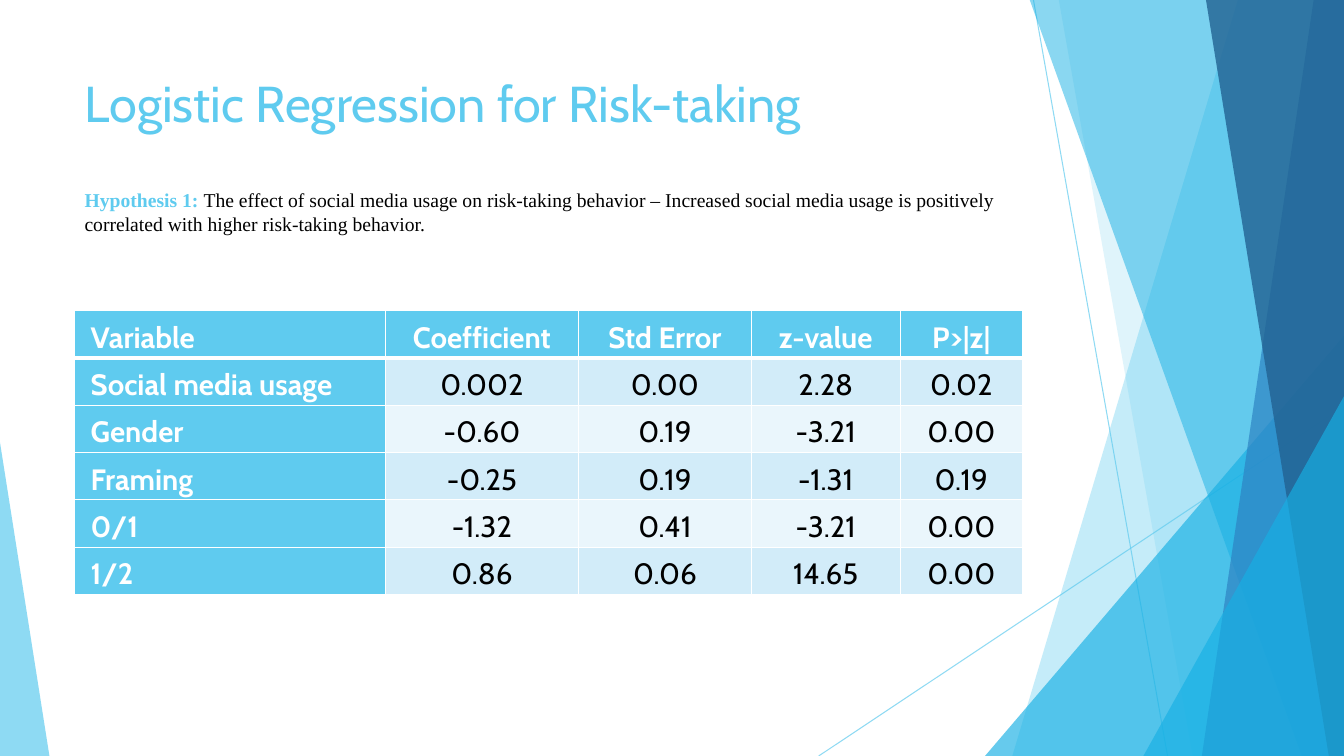
from lxml import etree
from pptx import Presentation, util as u
from pptx.dml.color import RGBColor
from pptx.enum import shapes, text
from pptx.oxml.ns import qn

PX = 9144
SKY, CYAN, BLUE, NAVY = "5FCBEF", "17B0E4", "2E83C3", "226292"
WHITE, BLACK = "FFFFFF", "000000"
BANDS = ("EAF6FC", "D2ECF9")


def px(n):
    return u.Emu(n * PX)


def rgb(color):
    return RGBColor.from_string(color)


def write(p, content, font="Cabin", size=21, color=BLACK, bold=False, align=text.PP_ALIGN.LEFT):
    p.alignment = align
    r = p.add_run()
    r.text = content
    r.font.name = font
    r.font.size = u.Pt(size)
    r.font.bold = bold
    r.font.color.rgb = rgb(color)


def set_alpha(parent, percent):
    for clr in parent.iter(qn("a:srgbClr")):
        etree.SubElement(clr, qn("a:alpha"), val=str(percent * 1000))


def set_border(cell, side, width):
    ln = etree.SubElement(cell._tc.get_or_add_tcPr(), qn("a:" + side), w=str(u.Pt(width)))
    fill = etree.SubElement(ln, qn("a:solidFill"))
    etree.SubElement(fill, qn("a:srgbClr"), val=WHITE)


class Deck:
    def __init__(self, width, height):
        self.prs = Presentation()
        self.prs.slide_width, self.prs.slide_height = px(width), px(height)
        self.s = self.prs.slides.add_slide(self.prs.slide_layouts[5])

    def line(self, x1, y1, x2, y2):
        c = self.s.shapes.add_connector(shapes.MSO_CONNECTOR.STRAIGHT, px(x1), px(y1), px(x2), px(y2))
        c.line.color.rgb = rgb(SKY)
        c.line.width = u.Pt(0.75)
        sp_pr = c._element.spPr
        set_alpha(sp_pr, 70)
        etree.SubElement(sp_pr, qn("a:effectLst"))

    def paint(self, sp, color, alpha):
        sp.shadow.inherit = False
        sp.fill.solid()
        sp.fill.fore_color.rgb = rgb(color)
        sp.line.fill.background()
        set_alpha(sp._element.spPr, alpha)

    def facet(self, points, color, alpha):
        fb = self.s.shapes.build_freeform(*points[0], scale=PX)
        fb.add_line_segments(points[1:], close=True)
        self.paint(fb.convert_to_shape(), color, alpha)

    def triangle(self, x, y, w, h, apex, color, alpha):
        sp = self.s.shapes.add_shape(shapes.MSO_SHAPE.ISOSCELES_TRIANGLE, px(x), px(y), px(w), px(h))
        sp.adjustments[0] = apex
        self.paint(sp, color, alpha)

    def title(self, x, y, w, h, content):
        sp = self.s.shapes.title
        sp.left, sp.top, sp.width, sp.height = px(x), px(y), px(w), px(h)
        tf = sp.text_frame
        tf.word_wrap = True
        tf.auto_size = text.MSO_AUTO_SIZE.NONE
        tf.vertical_anchor = text.MSO_ANCHOR.TOP
        write(tf.paragraphs[0], content, size=36, color=SKY)

    def text_box(self, x, y, w, h, runs):
        tf = self.s.shapes.add_textbox(px(x), px(y), px(w), px(h)).text_frame
        tf.word_wrap = True
        tf.auto_size = text.MSO_AUTO_SIZE.SHAPE_TO_FIT_TEXT
        for content, style in runs:
            write(tf.paragraphs[0], content, **style)

    def table(self, x, y, widths, row_height, rows):
        frame = self.s.shapes.add_table(len(rows), len(widths), px(x), px(y),
                                        px(sum(widths)), px(row_height * len(rows)))
        tbl = frame.table
        for col, width in zip(tbl.columns, widths):
            col.width = px(width)
        for i, row in enumerate(rows):
            tbl.rows[i].height = px(row_height)
            for j, content in enumerate(row):
                self.cell(tbl.cell(i, j), i, j, content)

    def cell(self, cell, i, j, content):
        head = i == 0 or j == 0
        cell.margin_left = cell.margin_right = px(16)
        cell.margin_top = cell.margin_bottom = 0
        cell.vertical_anchor = text.MSO_ANCHOR.MIDDLE
        for side in ("lnL", "lnR", "lnT", "lnB"):
            set_border(cell, side, 3 if (i, side) in ((0, "lnB"), (1, "lnT")) else 1)
        cell.fill.solid()
        cell.fill.fore_color.rgb = rgb(SKY if head else BANDS[i % 2])
        p = cell.text_frame.paragraphs[0]
        p.line_spacing = 1.2
        p.space_after = u.Pt(12)
        write(p, content, color=WHITE if head else BLACK, bold=head,
              align=text.PP_ALIGN.CENTER if j else text.PP_ALIGN.LEFT)


def main():
    width, height = 1333, 750
    d = Deck(width, height)

    def band(top_x, bottom_x, color, alpha):
        d.facet([(top_x, -1), (width, -1), (width, height), (bottom_x, height)], color, alpha)

    d.line(1025, 0, 1158, height)
    d.line(width, 403, 812, height)
    band(1228, 1004, SKY, 36)
    band(1050, 1183, SKY, 20)
    d.triangle(977, 333, 356, 417, 1, CYAN, 66)
    band(1021, 1291, CYAN, 50)
    band(1303, 1192, BLUE, 70)
    band(1196, 1318, NAVY, 80)
    d.triangle(1134, 393, 199, 357, 1, CYAN, 66)
    d.triangle(0, 439, 49, 311, 0, SKY, 70)

    d.title(74, 67, 940, 144, "Logistic Regression for Risk-taking")
    d.table(74, 308, [308, 192, 171, 148, 121], 47, [
        ("Variable", "Coefficient", "Std Error", "z-value", "P>|z|"),
        ("Social media usage", "0.002", "0.00", "2.28", "0.02"),
        ("Gender", "-0.60", "0.19", "-3.21", "0.00"),
        ("Framing", "-0.25", "0.19", "-1.31", "0.19"),
        ("0/1", "-1.32", "0.41", "-3.21", "0.00"),
        ("1/2", "0.86", "0.06", "14.65", "0.00"),
    ])
    body = dict(font="Times New Roman", size=14)
    d.text_box(74, 182, 940, 57, [
        ("Hypothesis 1: ", dict(body, color=SKY, bold=True)),
        ("The effect of social media usage on risk-taking behavior – Increased social media usage "
         "is positively correlated with higher risk-taking behavior.", body),
    ])
    d.prs.save("out.pptx")


if __name__ == "__main__":
    main()
